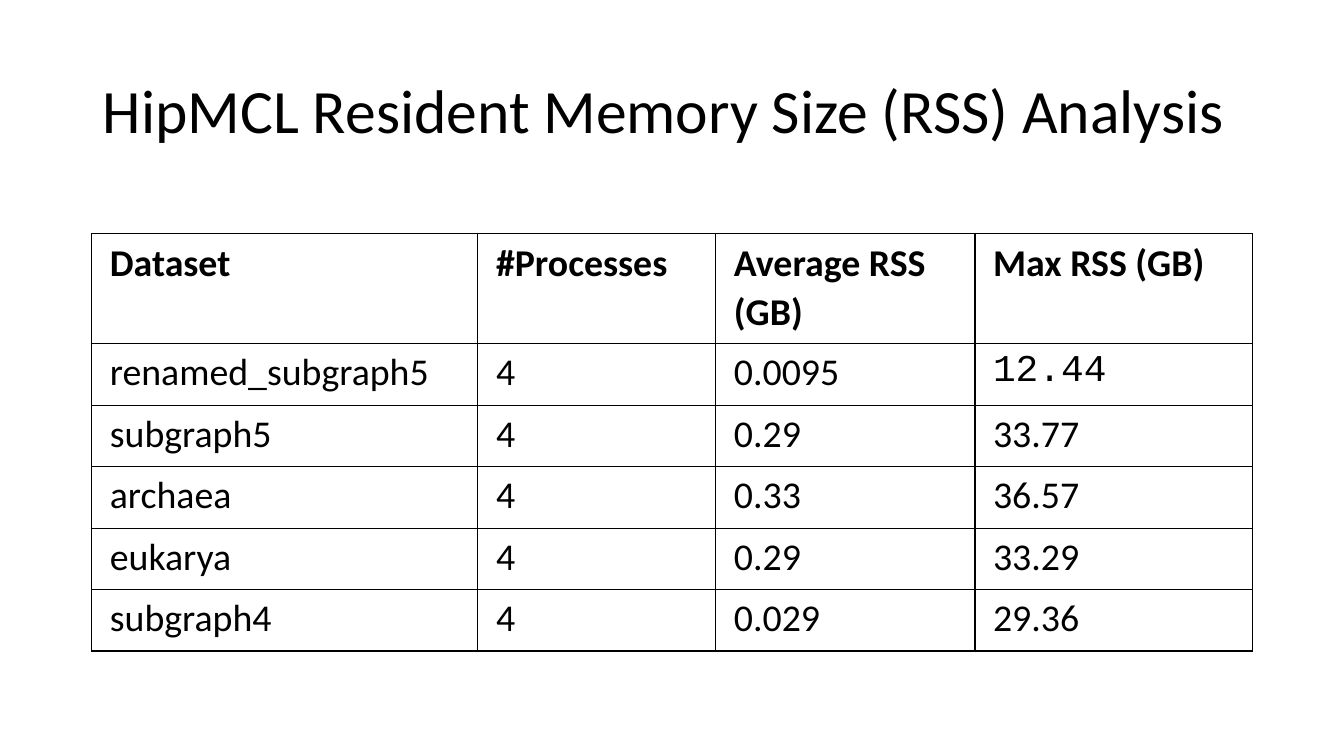
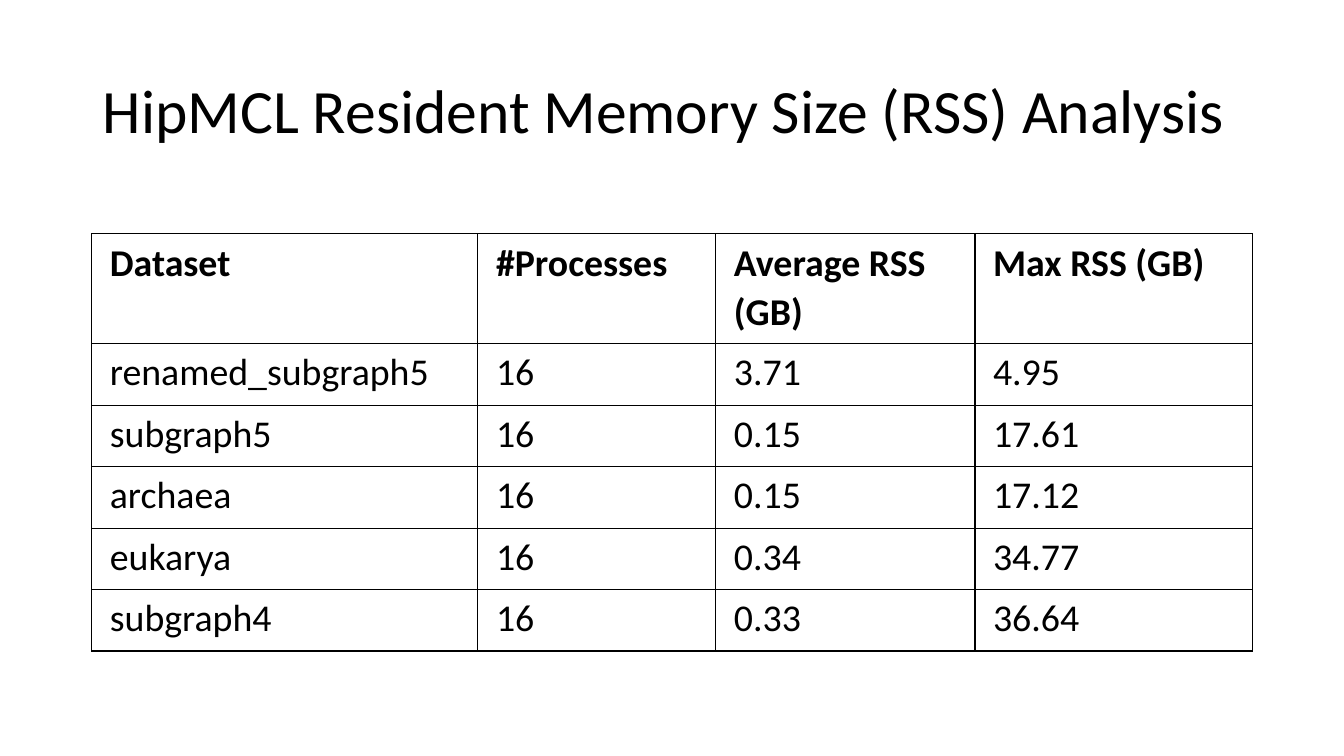
from lxml import etree
from pptx import Presentation
from pptx.dml.color import RGBColor
from pptx.enum import text
from pptx.oxml import ns
from pptx.util import Inches, Pt

HUES = {"ink": "000000", "page": "FFFFFF"}
FONT, MONO = "Calibri", "Courier New"
TITLE = "HipMCL Resident Memory Size (RSS) Analysis"
HEADS = ["Dataset", "#Processes", "Average RSS (GB)", "Max RSS (GB)"]
SETS = ["renamed_subgraph5", "subgraph5", "archaea", "eukarya", "subgraph4"]
WIDTHS = [3.83, 2.36, 2.57, 2.75]
HEIGHTS = [1.09] + [0.61] * len(SETS)

# Process count: average and maximum memory for each data set
RUNS = {
    "4": [("0.0095", "12.44"), ("0.29", "33.77"), ("0.33", "36.57"),
          ("0.29", "33.29"), ("0.029", "29.36")],
    "16": [("3.71", "4.95"), ("0.15", "17.61"), ("0.15", "17.12"),
           ("0.34", "34.77"), ("0.33", "36.64")],
}
MONO_CELLS = {("4", 1, 3)}  # process count, row, column


def style(para, size, spacing, name=FONT, bold=False):
    para.alignment = text.PP_ALIGN.LEFT
    para.line_spacing = spacing
    for run in para.runs:
        run.font.name = name
        run.font.size = Pt(size)
        run.font.bold = bold
        run.font.color.rgb = RGBColor.from_string(HUES["ink"])


def border(cell, width=1):
    """Draw a solid line on all four sides of a cell."""
    props = cell._tc.get_or_add_tcPr()
    for spot, side in enumerate(["lnL", "lnR", "lnT", "lnB"]):
        line = etree.Element(ns.qn(f"a:{side}"), w=str(Pt(width)))
        fill = etree.SubElement(line, ns.qn("a:solidFill"))
        etree.SubElement(fill, ns.qn("a:srgbClr"), val=HUES["ink"])
        props.insert(spot, line)


deck = Presentation()
deck.slide_width, deck.slide_height = Inches(13.33), Inches(7.5)
back = deck.slide_master.background.fill
back.solid()
back.fore_color.rgb = RGBColor.from_string(HUES["page"])

for count, sizes in RUNS.items():
    slide = deck.slides.add_slide(deck.slide_layouts[5])
    title = slide.shapes.title
    title.left, title.top = Inches(0.92), Inches(0.4)
    title.width, title.height = Inches(11.5), Inches(1.45)
    frame = title.text_frame
    frame.text = TITLE
    frame.vertical_anchor = text.MSO_ANCHOR.MIDDLE
    style(frame.paragraphs[0], 44, 0.9)

    rows = [HEADS] + [[name, count, *pair] for name, pair in zip(SETS, sizes)]
    table = slide.shapes.add_table(
        len(rows), len(HEADS), Inches(0.91), Inches(2.32),
        Inches(sum(WIDTHS)), Inches(sum(HEIGHTS))).table
    table.horz_banding = False
    for col, width in zip(table.columns, WIDTHS):
        col.width = Inches(width)
    for row, height in zip(table.rows, HEIGHTS):
        row.height = Inches(height)

    for r, row in enumerate(rows):
        for c, value in enumerate(row):
            cell = table.cell(r, c)
            cell.text_frame.text = value
            cell.margin_left = cell.margin_right = Inches(0.18)
            cell.margin_top, cell.margin_bottom = Inches(0.03), Inches(0)
            cell.fill.background()
            border(cell)
            name = MONO if (count, r, c) in MONO_CELLS else FONT
            style(cell.text_frame.paragraphs[0], 27, 1.07, name, bold=r == 0)

deck.save("out.pptx")
